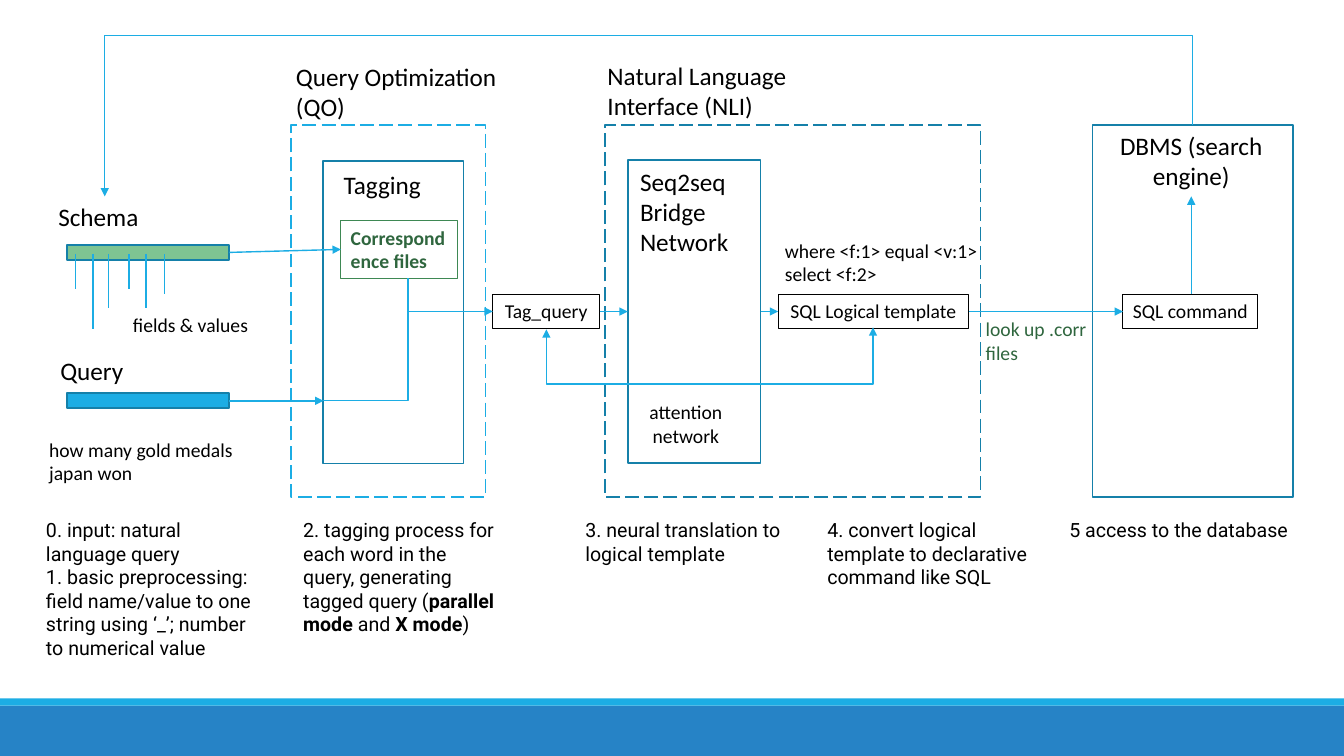
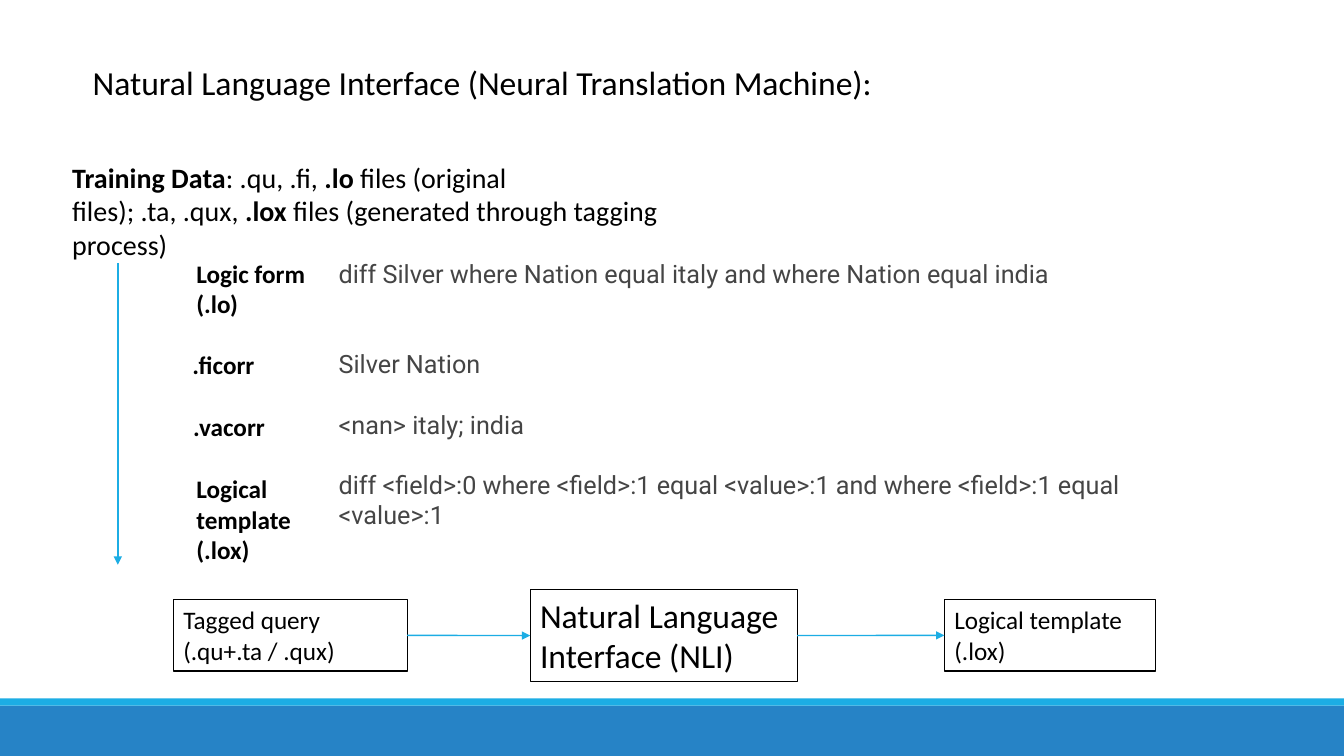
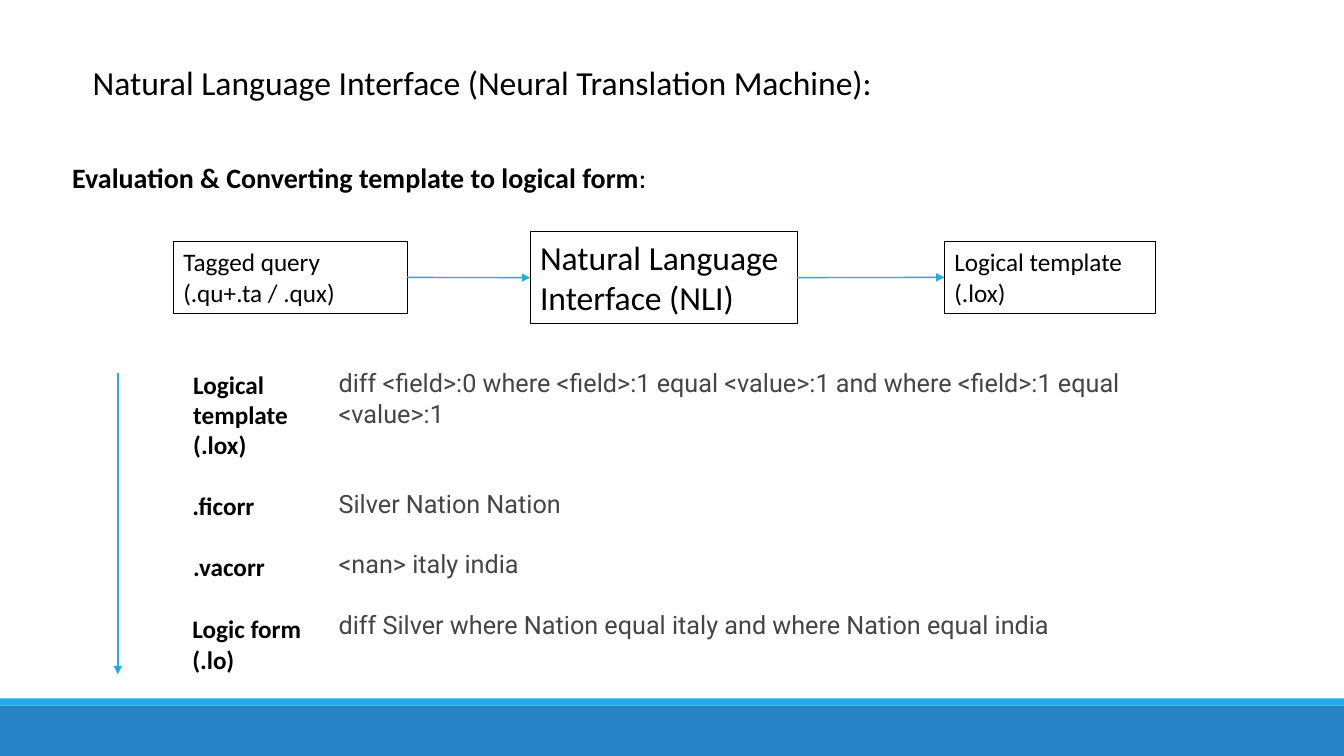
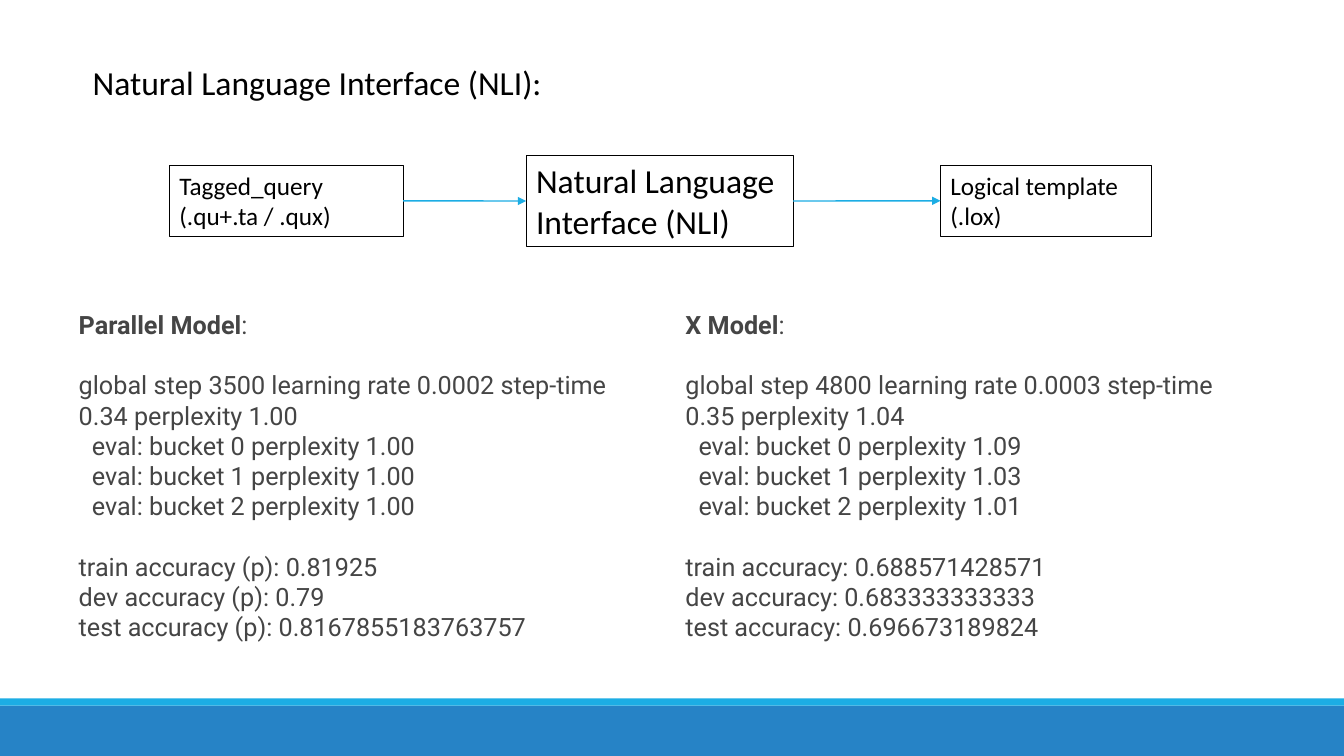
from pptx import Presentation
from pptx.dml.color import RGBColor
from pptx.enum.dml import MSO_LINE as DASH
from pptx.enum.shapes import MSO_CONNECTOR as CONN, MSO_SHAPE as SHAPE
from pptx.enum.text import MSO_ANCHOR as ANCHOR, MSO_AUTO_SIZE as AUTO, PP_ALIGN as ALIGN
from pptx.oxml.ns import qn
from pptx.util import Cm, Pt
from lxml.etree import SubElement

WHITE = RGBColor(0xFF, 0xFF, 0xFF)
BLACK = RGBColor(0, 0, 0)
GREY = RGBColor(0x45, 0x45, 0x45)
SKY = RGBColor(0x1C, 0xAD, 0xE4)
TEAL = RGBColor(0x15, 0x80, 0xA9)
BLUE = RGBColor(0x26, 0x83, 0xC6)
MINT = RGBColor(0x7E, 0xC4, 0x92)
GREEN = RGBColor(0x3E, 0x88, 0x53)
DARK_GREEN = RGBColor(0x2F, 0x66, 0x3E)

TOP, LEFT, BOTTOM, RIGHT = range(4)
HEADING = {"size": 18}
VALUES = {"size": 18, "font": "Roboto", "color": GREY}
ONE_LINE = {"space_before": Pt(21.5)}
TWO_LINES = {"space_before": Pt(43)}
NLI_TITLE = "Natural Language Interface (Neural Translation Machine):"


# Basic parts; every length is in centimetres

def write(tf, paras, size=14, font="Calibri", color=BLACK, bold=False, align=ALIGN.LEFT):
    """Fill a text frame; a paragraph is text or (text, format), with **bold** parts."""
    frame = {"word_wrap": True, "auto_size": AUTO.SHAPE_TO_FIT_TEXT,
             "vertical_anchor": ANCHOR.TOP}
    for name, value in frame.items():
        setattr(tf, name, value)
    for i, para in enumerate(paras):
        text, extra = (para, {}) if isinstance(para, str) else para
        p = tf.add_paragraph() if i else tf.paragraphs[0]
        for name, value in {"alignment": align, **extra}.items():
            setattr(p, name, value)
        for j, part in enumerate(text.split("**")):
            if part:
                r = p.add_run()
                r.text = part
                r.font.color.rgb = color
                look = {"size": Pt(size), "name": font, "bold": bold or j % 2 == 1}
                for name, value in look.items():
                    setattr(r.font, name, value)


def place(sp, x, y, w, h):
    for name, value in zip(("left", "top", "width", "height"), (x, y, w, h)):
        setattr(sp, name, Cm(value))


def label(s, x, y, w, h, *paras, **look):
    sp = s.shapes.add_textbox(Cm(x), Cm(y), Cm(w), Cm(h))
    write(sp.text_frame, paras, **look)


def box(s, x, y, w, h, *paras, fill=None, line=BLACK, width=0.75, dash=None, **look):
    sp = s.shapes.add_shape(SHAPE.RECTANGLE, Cm(x), Cm(y), Cm(w), Cm(h))
    sp.shadow.inherit = False
    for part, color in ((sp.fill, fill), (sp.line.fill, line)):
        if color is None:
            part.background()
        else:
            part.solid()
            part.fore_color.rgb = color
    if line is not None:
        sp.line.width = Pt(width)
        sp.line.dash_style = dash
    if paras:
        write(sp.text_frame, paras, **look)
    return sp


def frame(s, x, y, w, h, line=TEAL, **look):
    return box(s, x, y, w, h, line=line, width=1.25, **look)


def arrow(s, x1, y1, x2, y2, kind=CONN.STRAIGHT, ends=("tailEnd",)):
    c = s.shapes.add_connector(kind, Cm(x1), Cm(y1), Cm(x2), Cm(y2))
    c.line.color.rgb = SKY
    c.line.width = Pt(1)
    for end in ends:
        SubElement(c.line._get_or_add_ln(), qn("a:" + end), type="triangle")
    SubElement(c._element.spPr, qn("a:effectLst"))
    return c


def link(s, a, b):
    """Arrow from the right side of one box to the left side of the next."""
    c = arrow(s, 0, 0, 0, 0)
    c.begin_connect(a, RIGHT)
    c.end_connect(b, LEFT)


def loop_back(s, x1, y1, x2, y2, via, **look):
    """Elbow that leaves vertically, runs left at height via and ends at a lower point."""
    c = arrow(s, x1, y1, x2, y2, CONN.ELBOW, **look)
    w, h = y2 - y1, x1 - x2
    place(c, (x1 + x2 - w) / 2, (y1 + y2 - h) / 2, w, h)
    xfrm = c._element.spPr.find(qn("a:xfrm"))
    xfrm.attrib.pop("flipH", None)
    xfrm.set("rot", "5400000")
    geom = c._element.spPr.find(qn("a:prstGeom"))
    guides = geom.find(qn("a:avLst"))
    if guides is None:
        guides = SubElement(geom, qn("a:avLst"))
    SubElement(guides, qn("a:gd"), name="adj1",
               fmla=f"val {round((via - y1) / w * 100000)}")


# What the slides share

def style_master(prs):
    styles = prs.slide_master.element.find(qn("p:txStyles"))
    styles.find(qn("p:titleStyle")).find(qn("a:lvl1pPr")).set("algn", "l")
    for level, indent in ((1, 0), (2, 0.33)):
        ppr = styles.find(qn("p:bodyStyle")).find(qn(f"a:lvl{level}pPr"))
        ppr.set("marL", str(int(Cm(indent))))
        ppr.set("indent", "0")
        ppr.find(qn("a:spcBef")).find(qn("a:spcPct")).set("val", "0")
        ppr.find(qn("a:buChar")).tag = qn("a:buNone")
        ppr.find(qn("a:buNone")).attrib.clear()


def add_master_bands(prs, s):
    """Draw the bottom bands and hand them over to the master."""
    for y, h, color in ((17.78, 1.27, BLUE), (17.6, 0.18, SKY)):
        band = box(s, 0, y, 33.87, h, fill=color, line=None)
        prs.slide_master.shapes.element.append(band._element)


def titled_slide(prs, layout, title):
    s = prs.slides.add_slide(prs.slide_layouts.get_by_name(layout))
    place(s.shapes.title, 2.08, 1.42, 21.06, 1.28)
    write(s.shapes.title.text_frame, [title], size=24)
    return s


def fill_body(s, idx, x, y, w, h, paras):
    body = s.placeholders[idx]
    place(body, x, y, w, h)
    write(body.text_frame, paras, **VALUES)


# Regions of the overview

def input_column(s, x, y):
    bars = []
    for name, dx, dy, bar_dy, color in (("Schema", 0, 0, 1.22, MINT),
                                        ("Query", 0.05, 3.89, 4.96, SKY)):
        label(s, x + dx, y + dy, 2.87, 1.02, name, **HEADING)
        bars.append(frame(s, x + 0.47, y + bar_dy, 4.09, 0.38, fill=color))
    ticks = ((0.68, 0.89), (1.12, 1.88), (1.52, 1.37), (2.03, 0.89), (2.46, 1.35), (2.92, 1.02))
    for dx, length in ticks:
        arrow(s, x + dx, y + 1.45, x + dx, y + 1.45 + length, ends=())
    label(s, x + 1.88, y + 2.8, 3.61, 0.86, "fields & values")
    label(s, x - 0.23, y + 5.95, 5.38, 1.45, "how many gold medals japan won")
    return bars


def tagging_stage(s, x, y):
    frame(s, x, y, 4.9, 9.37, fill=WHITE, line=SKY, dash=DASH.LONG_DASH)
    label(s, x - 0.13, y - 1.74, 5.84, 1.8, "Query Optimization (QO)", **HEADING)
    frame(s, x + 0.81, y + 0.91, 3.53, 7.62)
    label(s, x + 1.07, y + 0.99, 2.51, 1.02, "Tagging", **HEADING)
    return box(s, x + 1.25, y + 2.41, 2.95, 1.45, "Correspondence files",
               line=GREEN, color=DARK_GREEN, bold=True)


def translation_stage(s, x, y):
    frame(s, x, y, 9.47, 9.37, dash=DASH.LONG_DASH)
    label(s, x - 0.18, y - 1.75, 5.84, 1.8, "Natural Language Interface (NLI)", **HEADING)
    network = frame(s, x + 0.58, y + 0.89, 3.35, 7.62)
    label(s, x + 0.64, y + 0.91, 2.87, 2.57, "Seq2seq Bridge Network", **HEADING)
    label(s, x + 0.61, y + 6.81, 2.87, 1.45, "attention network", align=ALIGN.CENTER)
    label(s, x + 4.29, y + 2.74, 5.38, 1.45, "where <f:1> equal <v:1> select <f:2>")
    label(s, x + 9.35, y + 4.72, 3.58, 1.45, "look up .corr files", color=DARK_GREEN)
    template = box(s, x + 4.37, y + 4.27, 4.8, 0.86, "SQL Logical template",
                   align=ALIGN.CENTER)
    return network, template


def database_stage(s, x, y):
    frame(s, x, y, 5.05, 9.37)
    label(s, x - 0.43, y, 5.84, 1.8, "DBMS (search engine)", align=ALIGN.CENTER, **HEADING)
    command = box(s, x + 0.77, y + 4.27, 3.4, 0.86, "SQL command", align=ALIGN.CENTER)
    arrow(s, x + 2.49, y + 4.27, x + 2.49, y + 1.8)
    return command


def step_notes(s, y):
    notes = (
        (0.91, 6.02, ["0. input: natural language query",
                      "1. basic preprocessing: field name/value to one string using ‘_’; "
                      "number to numerical value"]),
        (7.39, 5.51, ["2. tagging process for each word in the query, generating tagged "
                      "query (**parallel mode **and **X mode**)"]),
        (14.5, 5.79, ["3. neural translation to logical template"]),
        (20.6, 6.17, ["4. convert logical template to declarative command like SQL"]),
        (26.7, 6.6, ["5 access to the database"]),
    )
    for x, w, paras in notes:
        label(s, x, y, w, 1.45, *paras, font="Roboto")


def overview_slide(prs):
    s = prs.slides.add_slide(prs.slide_layouts.get_by_name("Blank"))
    add_master_bands(prs, s)
    top = 3.15
    files = tagging_stage(s, 7.34, top)
    network, template = translation_stage(s, 15.24, top)
    command = database_stage(s, 27.53, top)
    schema, query = input_column(s, 1.22, 4.95)
    tag_query = box(s, 12.42, 7.42, 2.69, 0.86, "Tag_query", align=ALIGN.CENTER)
    for a, b in ((schema, files), (tag_query, network), (network, template),
                 (template, command)):
        link(s, a, b)
    arrow(s, 5.77, 10.1, 8.15, 10.1)
    arrow(s, 8.15, 10.1, 12.42, 7.85, CONN.ELBOW)
    arrow(s, 10.28, 7.85, 10.28, 7.01, ends=())
    loop_back(s, 30.05, top, 2.64, 4.95, via=0.89)
    loop_back(s, 22, 8.25, 13.77, 8.3, via=9.68, ends=("headEnd", "tailEnd"))
    step_notes(s, 12.93)


# Regions of the interface slides

def interface_flow(s, x, y, query="Tagged query"):
    tagged = box(s, x, y + 0.25, 5.89, 1.8, query, "(.qu+.ta / .qux)", **HEADING)
    nli = box(s, x + 8.99, y, 6.73, 2.31, "Natural Language Interface (NLI)", size=24)
    template = box(s, x + 19.43, y + 0.25, 5.31, 1.8, "Logical template", "(.lox)", **HEADING)
    link(s, tagged, nli)
    link(s, nli, template)


def file_samples(s, x, y, names, values):
    """Down arrow, bold file names and the content of each file."""
    arrow(s, x, y + 0.25, x, y + 7.85)
    for dx, dy, paras in names:
        label(s, x + dx, y + dy, 3.4, 1.02, *paras, bold=True, **HEADING)
    fill_body(s, 1, x + 5.31, y, 21.82, 7.95, values)


def samples_slide(prs, subtitle, flow_y, samples_y, names, values):
    s = titled_slide(prs, "Title and Content", NLI_TITLE)
    label(s, 1.57, 3.91, 16.03, 1.12, subtitle, size=20)
    file_samples(s, 2.97, samples_y, names, values)
    interface_flow(s, 4.37, flow_y)


def results(name, run, evals, scores):
    return [f"**{name}**:", (run, ONE_LINE),
            *((f"eval: bucket {i} perplexity {v}", {"level": 1}) for i, v in enumerate(evals)),
            (scores[0], ONE_LINE), *scores[1:]]


def results_slide(prs):
    s = titled_slide(prs, "Two Content", "Natural Language Interface (NLI):")
    interface_flow(s, 4.27, 3.91, "Tagged_query")
    fill_body(s, 1, 1.73, 7.67, 14.91, 8.71, results(
        "Parallel Model",
        "global step 3500 learning rate 0.0002 step-time 0.34 perplexity 1.00",
        ("1.00", "1.00", "1.00"),
        ("train accuracy (p): 0.81925", "dev accuracy (p): 0.79",
         "test accuracy (p): 0.8167855183763757")))
    fill_body(s, 2, 17.02, 7.67, 14.3, 8.71, results(
        "X Model",
        "global step 4800 learning rate 0.0003 step-time 0.35 perplexity 1.04",
        ("1.09", "1.03", "1.01"),
        ("train accuracy: 0.688571428571", "dev accuracy: 0.683333333333",
         "test accuracy: 0.696673189824")))


def main():
    prs = Presentation()
    prs.slide_width, prs.slide_height = Cm(33.87), Cm(19.05)
    style_master(prs)
    overview_slide(prs)

    logic_form = ("Logic form", "(.lo)")
    template = ("Logical template", "(.lox)")
    logic_text = "diff Silver where Nation equal italy and where Nation equal india"
    template_text = ("diff <field>:0 where <field>:1 equal <value>:1 and where "
                     "<field>:1 equal <value>:1")
    samples_slide(
        prs, "**Training Data**: .qu, .fi, **.lo **files (original files); .ta, .qux, "
             "**.lox **files (generated through tagging process)",
        14.86, 6.38,
        ((1.73, 0, logic_form), (1.63, 2.31, [".ficorr"]), (1.65, 3.86, [".vacorr"]),
         (1.73, 5.43, template)),
        [logic_text, ("Silver Nation", TWO_LINES), ("<nan> italy; india", ONE_LINE),
         (template_text, ONE_LINE)])
    samples_slide(
        prs, "**Evaluation & Converting template to logical form**:",
        5.84, 9.14,
        ((1.65, 0.03, template), (1.63, 3.08, [".ficorr"]), (1.65, 4.63, [".vacorr"]),
         (1.63, 6.2, logic_form)),
        [template_text, ("Silver Nation Nation", TWO_LINES), ("<nan> italy india", ONE_LINE),
         (logic_text, ONE_LINE)])
    results_slide(prs)
    prs.save("out.pptx")


if __name__ == "__main__":
    main()
